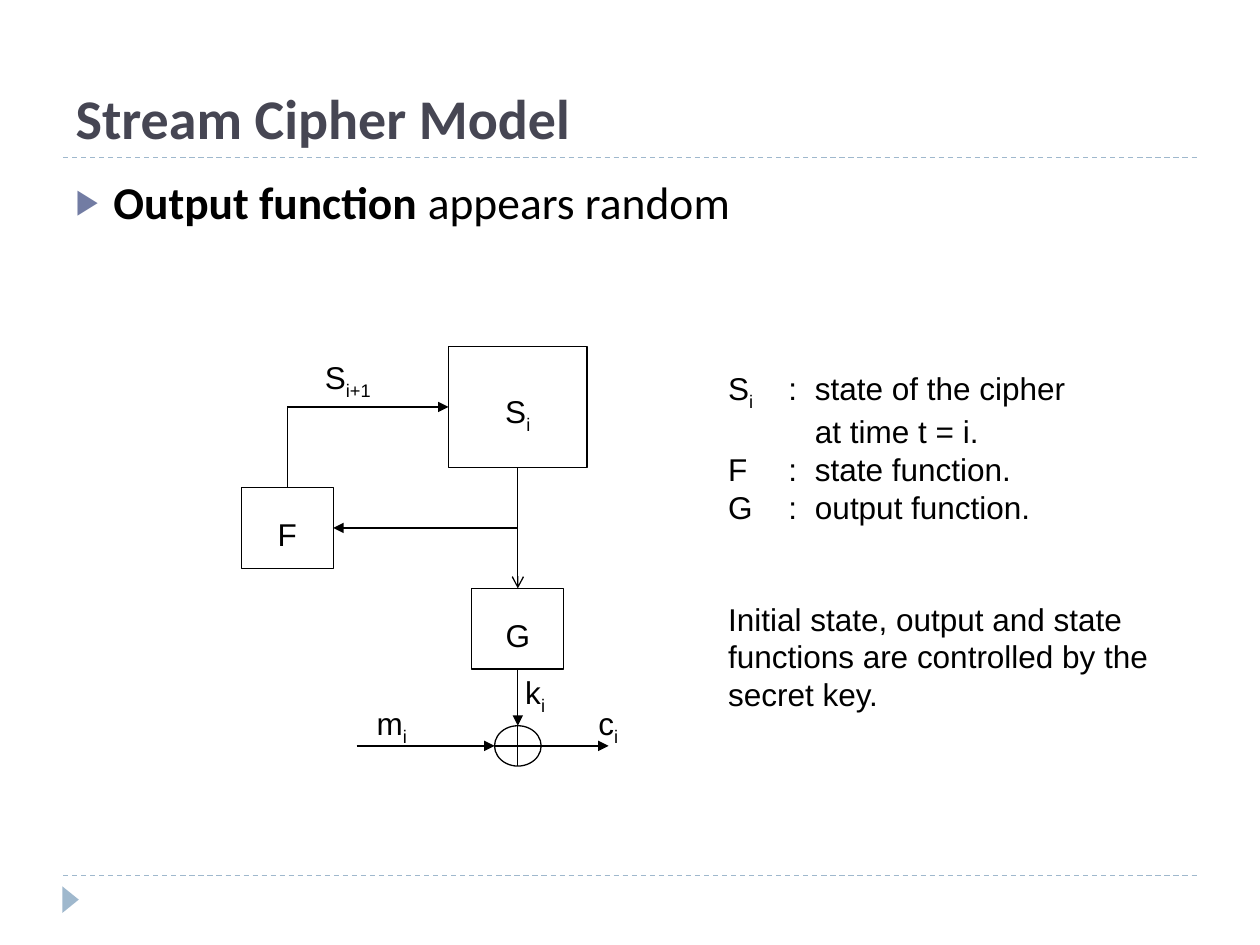
"""Build the Stream Cipher Model slide."""
from lxml.etree import SubElement
from pptx import Presentation
from pptx.dml.color import RGBColor
from pptx.enum.dml import MSO_LINE
from pptx.enum.shapes import MSO_CONNECTOR, MSO_SHAPE
from pptx.enum.text import MSO_ANCHOR, MSO_AUTO_SIZE, PP_ALIGN
from pptx.oxml.ns import qn
from pptx.util import Inches, Pt

BLACK = RGBColor(0, 0, 0)
WHITE = RGBColor(255, 255, 255)
TITLE_COLOR = RGBColor(0x46, 0x46, 0x53)
BULLET_COLOR = RGBColor(0x72, 0x7C, 0xA3)
ACCENT = RGBColor(0x9F, 0xB8, 0xCD)

TITLE = "Stream Cipher Model"
BODY = [("Output function ", True), ("appears random", False)]
RULES = [1.25, 6.95]
SPINE, FEEDBACK = 4.11, 2.28
STATE_Y, BRANCH_Y, OUTPUT_Y, XOR_Y = 3.23, 4.19, 4.99, 5.92
XOR_WIDTH, XOR_HEIGHT = 0.37, 0.32
XOR_LEFT, XOR_RIGHT = SPINE - XOR_WIDTH / 2, SPINE + XOR_WIDTH / 2
XOR_TOP, XOR_BOTTOM = XOR_Y - XOR_HEIGHT / 2, XOR_Y + XOR_HEIGHT / 2
BOXES = {
    "S": ([("S", False), ("i", True)], SPINE, STATE_Y, 1.1, 0.96),
    "F": ([("F", False)], FEEDBACK, BRANCH_Y, 0.73, 0.64),
    "G": ([("G", False)], SPINE, OUTPUT_Y, 0.73, 0.64),
}
LINKS = [
    ((SPINE, 3.71), (SPINE, 4.67), "arrow", ("S", 2), ("G", 0)),
    ((SPINE, BRANCH_Y), (2.65, BRANCH_Y), "triangle", None, ("F", 3)),
    ((FEEDBACK, 3.87), (FEEDBACK, STATE_Y), None, ("F", 0), None),
    ((FEEDBACK, STATE_Y), (3.56, STATE_Y), "triangle", None, ("S", 1)),
    ((SPINE, 5.31), (SPINE, XOR_TOP), "triangle", ("G", 2), None),
    ((XOR_LEFT, XOR_Y), (XOR_RIGHT, XOR_Y), None, None, None),
    ((SPINE, XOR_TOP), (SPINE, XOR_BOTTOM), None, None, None),
    ((2.83, XOR_Y), (XOR_LEFT, XOR_Y), "triangle", None, None),
    ((XOR_RIGHT, XOR_Y), (4.83, XOR_Y), "triangle", None, None),
]
LABELS = [
    ("S", "i+1", 2.48, 2.79, 0.7),
    ("k", "i", 4.07, 5.29, 0.42),
    ("m", "i", 2.89, 5.54, 0.5),
    ("c", "i", 4.65, 5.54, 0.42),
]
LEGEND = [
    [("S", False), ("i", True), ("\t:\tstate of the cipher", False)],
    [("\t\tat time t = i.", False)],
    [("F\t:\tstate function.", False)],
    [("G\t:\toutput function.", False)],
]
LEGEND_TABS = [0.48, 0.69]
NOTE = [
    [("Initial state, output and state", False)],
    [("functions are controlled by the", False)],
    [("secret key.", False)],
]


def add_run(paragraph, text, size, font="Arial", color=BLACK, bold=False):
    run = paragraph.add_run()
    run.text = text
    run.font.name = font
    run.font.size = Pt(size)
    run.font.bold = bold
    run.font.color.rgb = color
    return run


def add_runs(paragraph, parts):
    for text, subscript in parts:
        run = add_run(paragraph, text, 18)
        if subscript:
            run.font._element.set("baseline", "-25000")


def add_text(slide, lines, left, top, width, height, tabs=()):
    text_box = slide.shapes.add_textbox(*map(Inches, (left, top, width, height)))
    frame = text_box.text_frame
    frame.word_wrap = True
    for index, parts in enumerate(lines):
        paragraph = frame.add_paragraph() if index else frame.paragraphs[0]
        if tabs:
            tab_list = SubElement(paragraph._p.get_or_add_pPr(), qn("a:tabLst"))
            for tab in tabs:
                SubElement(tab_list, qn("a:tab"), pos=str(Inches(tab)), algn="l")
        add_runs(paragraph, parts)


def add_centered(slide, kind, center_x, center_y, width, height, fill, line):
    left, top = center_x - width / 2, center_y - height / 2
    shape = slide.shapes.add_shape(kind, *map(Inches, (left, top, width, height)))
    shape.shadow.inherit = False
    shape.fill.solid()
    shape.fill.fore_color.rgb = fill
    if line is None:
        shape.line.fill.background()
    else:
        shape.line.color.rgb = line
        shape.line.width = Pt(0.75)
    return shape


def add_line(slide, start, end, color=BLACK, head=None):
    connector = slide.shapes.add_connector(
        MSO_CONNECTOR.STRAIGHT, *map(Inches, (*start, *end)))
    connector.line.color.rgb = color
    connector.line.width = Pt(0.75)
    if head:
        SubElement(connector.line._get_or_add_ln(), qn("a:tailEnd"), type=head)
    SubElement(connector._element.spPr, qn("a:effectLst"))
    return connector


def fill_placeholder(placeholder, left, top, width, height, anchor):
    placeholder.left, placeholder.top = Inches(left), Inches(top)
    placeholder.width, placeholder.height = Inches(width), Inches(height)
    frame = placeholder.text_frame
    frame.auto_size = MSO_AUTO_SIZE.NONE
    frame.vertical_anchor = anchor
    paragraph = frame.paragraphs[0]
    paragraph.alignment = PP_ALIGN.LEFT
    paragraph.space_before = Pt(0)
    return paragraph


def add_headings(slide):
    title = fill_placeholder(slide.shapes.title, 0.5, 0.17, 9, 1.08, MSO_ANCHOR.BOTTOM)
    add_run(title, TITLE, 32, "Calibri", TITLE_COLOR, True)
    body = fill_placeholder(slide.placeholders[1], 0.5, 1.33, 8.5, 0.83, MSO_ANCHOR.TOP)
    properties = body._p.get_or_add_pPr()
    properties.set("marL", str(Inches(0.3)))
    properties.set("indent", str(Inches(-0.3)))
    bullet_color = SubElement(properties, qn("a:buClr"))
    SubElement(bullet_color, qn("a:srgbClr"), val=str(BULLET_COLOR))
    SubElement(properties, qn("a:buSzPct"), val="76000")
    SubElement(properties, qn("a:buChar"), char="▶")
    for text, bold in BODY:
        add_run(body, text, 26, "Calibri", bold=bold)


def add_diagram(slide):
    boxes = {}
    for name, (parts, *place) in BOXES.items():
        box = add_centered(slide, MSO_SHAPE.RECTANGLE, *place, WHITE, BLACK)
        frame = box.text_frame
        frame.margin_top = Inches(0.15)
        frame.vertical_anchor = MSO_ANCHOR.MIDDLE
        frame.paragraphs[0].alignment = PP_ALIGN.CENTER
        add_runs(frame.paragraphs[0], parts)
        boxes[name] = box
    add_centered(slide, MSO_SHAPE.OVAL, SPINE, XOR_Y, XOR_WIDTH, XOR_HEIGHT, WHITE, BLACK)
    for start, end, head, source, target in LINKS:
        connector = add_line(slide, start, end, head=head)
        if source:
            connector.begin_connect(boxes[source[0]], source[1])
        if target:
            connector.end_connect(boxes[target[0]], target[1])
    for letter, index, left, top, width in LABELS:
        add_text(slide, [[(letter, False), (index, True)]], left, top, width, 0.44)


def main():
    presentation = Presentation()
    presentation.slide_width, presentation.slide_height = Inches(10), Inches(7.5)
    slide = presentation.slides.add_slide(presentation.slide_layouts[1])
    for y in RULES:
        rule = add_line(slide, (0.5, y), (9.5, y), ACCENT)
        rule.line.dash_style = MSO_LINE.DASH
    marker = add_centered(
        slide, MSO_SHAPE.ISOSCELES_TRIANGLE, 0.56, 7.14, 0.21, 0.13, ACCENT, None)
    marker.rotation = 90
    add_headings(slide)
    add_diagram(slide)
    add_text(slide, LEGEND, 5.68, 2.88, 3.1, 1.34, LEGEND_TABS)
    add_text(slide, NOTE, 5.68, 4.71, 3.75, 1)
    presentation.save("out.pptx")


if __name__ == "__main__":
    main()
